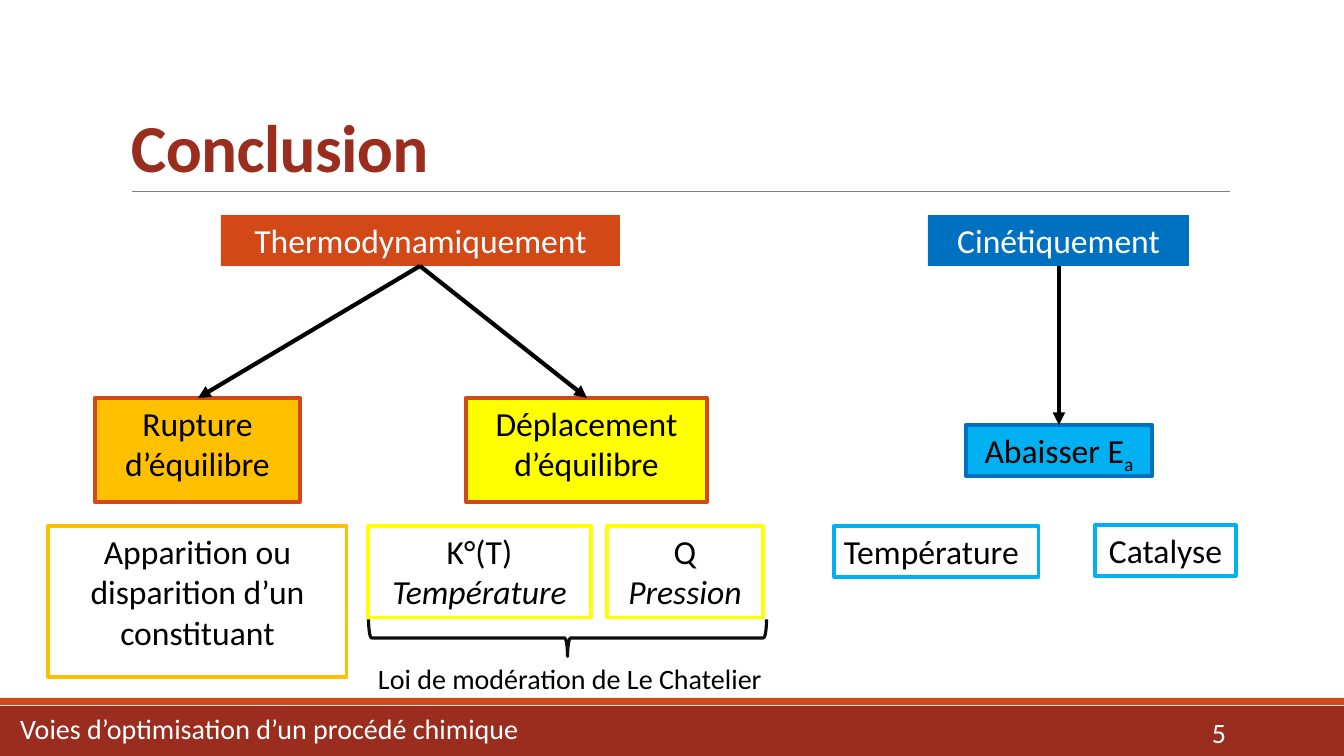
import pptx
import pptx.util
import pptx.dml.color
import pptx.enum.shapes
import pptx.enum.text
import pptx.oxml
import pptx.oxml.ns

SCALE = 914400 / 100.8
RECT = pptx.enum.shapes.MSO_SHAPE.RECTANGLE
BRACE = pptx.enum.shapes.MSO_SHAPE.RIGHT_BRACE
STRAIGHT = pptx.enum.shapes.MSO_CONNECTOR.STRAIGHT
ALIGN = pptx.enum.text.PP_ALIGN
ANCHOR = pptx.enum.text.MSO_ANCHOR
THEME = {
    "font": "Calibri", "title": 48, "body": 24, "small": 20,
    "thick": 3, "mid": 2.25, "thin": 0.5,
    "dark": "9B2D1F", "rust": "D34817", "gray": "808080", "ink": "0D0D0D",
    "white": "FFFFFF", "black": "000000", "blue": "0070C0", "sky": "00B0F0",
    "gold": "FFC000", "yellow": "FFFF00",
}

deck = pptx.Presentation()
deck.slide_width = round(1344 * SCALE)
deck.slide_height = round(756 * SCALE)
slide = deck.slides.add_slide(deck.slide_layouts[6])
shapes = slide.shapes


def tint(name):
    return pptx.dml.color.RGBColor.from_string(THEME[name])


def box(spot, lines=(), fill=None, edge=None, width="mid", kind=RECT,
        size="body", color="black", align=ALIGN.CENTER, anchor=ANCHOR.TOP):
    shape = shapes.add_shape(kind, *[round(n * SCALE) for n in spot])
    shape.shadow.inherit = False
    if fill:
        shape.fill.solid()
        shape.fill.fore_color.rgb = tint(fill)
    else:
        shape.fill.background()
    if edge:
        shape.line.color.rgb = tint(edge)
        shape.line.width = pptx.util.Pt(THEME[width])
    else:
        shape.line.fill.background()
    frame = shape.text_frame
    frame.word_wrap = True
    frame.vertical_anchor = anchor
    for i, line in enumerate(lines):
        para = frame.add_paragraph() if i else frame.paragraphs[0]
        para.alignment = align
        run = para.add_run()
        run.text = line
        look = {"name": THEME["font"], "size": pptx.util.Pt(THEME[size]),
                "italic": i > 0}
        for key, value in look.items():
            setattr(run.font, key, value)
        run.font.color.rgb = tint(color)
    return shape


box((0, 706, 1344, 50), fill="dark")
box((0, 698, 1344, 7), fill="rust")

title = box((121, 31, 1109, 160), ["Conclusion"], size="title", color="dark",
            align=ALIGN.LEFT, anchor=ANCHOR.BOTTOM)
head = title.text_frame.paragraphs[0]
head.line_spacing = 0.85
head.runs[0].font.bold = True
head.runs[0].font._element.set("spc", "-50")

foot = box((0, 710, 1211, 46), ["Voies d’optimisation d’un procédé chimique"],
           size="small", color="white", align=ALIGN.LEFT)
foot.text_frame.margin_left = round(20 * SCALE)
foot.text_frame.paragraphs[0].line_spacing = 0.9
box((1092, 712, 144, 40), ["5"], size="small", color="white",
    align=ALIGN.RIGHT, anchor=ANCHOR.MIDDLE)

box((221, 215, 399, 51), ["Thermodynamiquement"], "rust", color="white")
box((928, 215, 261, 51), ["Cinétiquement"], "blue", color="white")

nodes = [
    ((95, 398, 205, 104), "Rupture d’équilibre", "gold", "rust"),
    ((466, 398, 241, 104), "Déplacement d’équilibre", "yellow", "rust"),
    ((966, 425, 186, 51), "Abaisser E", "sky", "blue"),
]
for spot, text, fill, edge in nodes:
    node = box(spot, [text], fill, edge, "thick")
sub = node.text_frame.paragraphs[0].add_run()
sub.text = "a"
for key, value in {"name": THEME["font"],
                   "size": pptx.util.Pt(THEME["body"])}.items():
    setattr(sub.font, key, value)
sub.font.color.rgb = tint("black")
sub.font._element.set("baseline", "-25000")

leaves = [
    ((48, 526, 299, 151), ["Apparition ou disparition d’un constituant"], "gold"),
    ((368, 526, 223, 92), ["K°(T)", "Température"], "yellow"),
    ((607, 526, 156, 92), ["Q", "Pression"], "yellow"),
    ((1095, 525, 141, 51), ["Catalyse"], "sky"),
]
for spot, lines, edge in leaves:
    box(spot, lines, edge=edge)
box((834, 526, 205, 51), ["Température"], edge="sky", align=ALIGN.LEFT)

brace = box((549, 439, 37, 398), edge="ink", kind=BRACE)
brace.rotation = 90
box((334, 657, 472, 50), ["Loi de modération de Le Chatelier"], size="small")

links = [
    ((132, 191, 1230, 191), "gray", "thin"),
    ((420, 266, 198, 398), "black", "thick"),
    ((420, 266, 587, 398), "black", "thick"),
    ((1059, 266, 1059, 425), "black", "thick"),
]
for ends, color, width in links:
    link = shapes.add_connector(STRAIGHT, *[round(n * SCALE) for n in ends])
    link.line.color.rgb = tint(color)
    link.line.width = pptx.util.Pt(THEME[width])
    if width == "thick":
        tip = pptx.oxml.parse_xml(
            "<a:tailEnd %s type='triangle'/>" % pptx.oxml.ns.nsdecls("a"))
        link.line._get_or_add_ln().append(tip)
    link._element.spPr.append(pptx.oxml.parse_xml(
        "<a:effectLst %s/>" % pptx.oxml.ns.nsdecls("a")))

deck.save("out.pptx")
